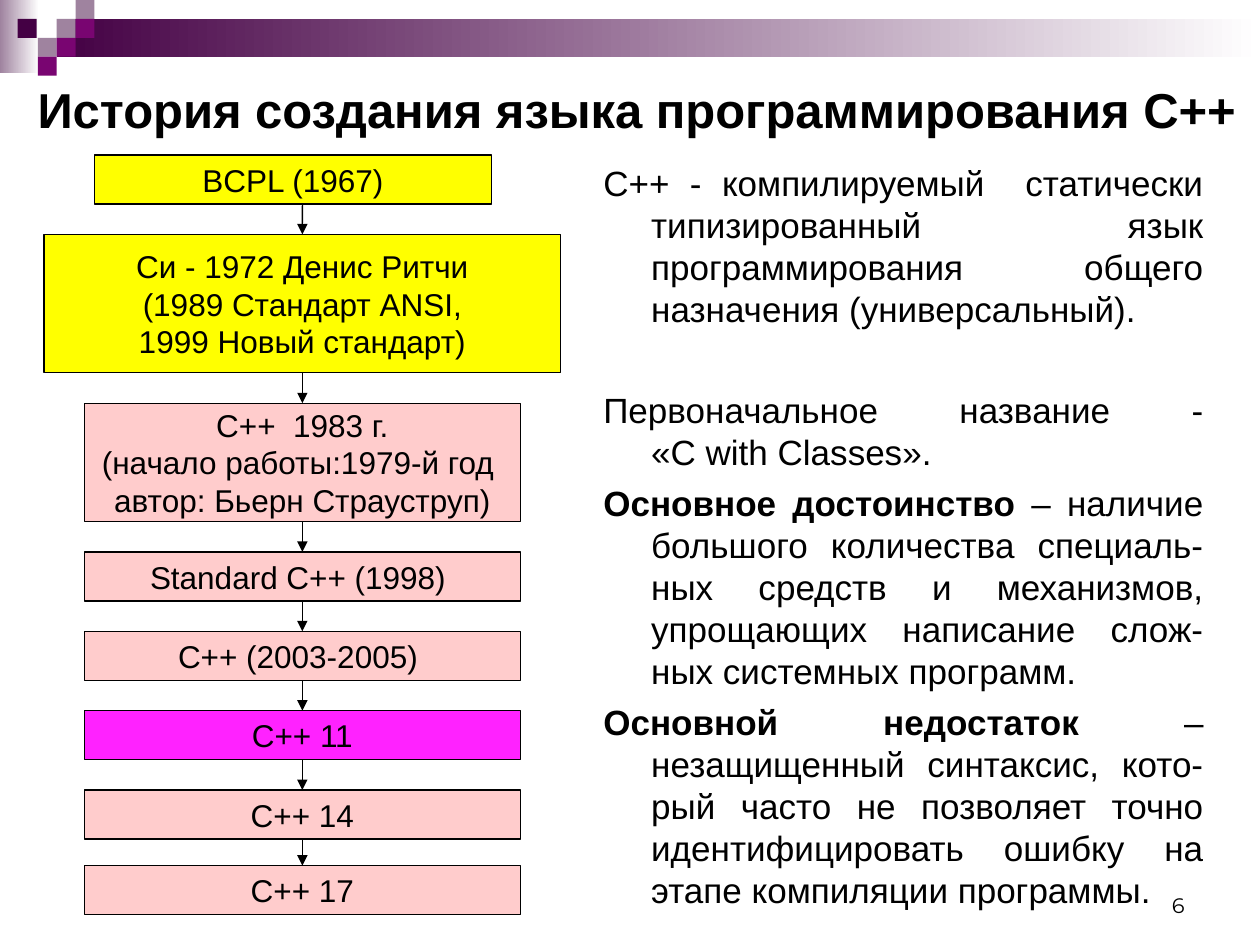
import pptx
import pptx.util
import pptx.dml.color
import pptx.enum.shapes
import pptx.enum.text
import pptx.oxml
import pptx.oxml.ns

Inches, Pt = pptx.util.Inches, pptx.util.Pt
RGBColor = pptx.dml.color.RGBColor
RECTANGLE = pptx.enum.shapes.MSO_SHAPE.RECTANGLE
ALIGN = pptx.enum.text.PP_ALIGN
ANCHOR = pptx.enum.text.MSO_ANCHOR

BLACK = RGBColor(0x00, 0x00, 0x00)
WHITE = RGBColor(0xFF, 0xFF, 0xFF)
MAUVE = RGBColor(0x9F, 0x83, 0x9F)
PLUM = RGBColor(0x79, 0x05, 0x71)
DARK_PLUM = RGBColor(0x44, 0x00, 0x44)
YELLOW = RGBColor(0xFF, 0xFF, 0x00)
PINK = RGBColor(0xFF, 0xCC, 0xCC)
MAGENTA = RGBColor(0xFF, 0x22, 0xFF)

# Content
TITLE = "История создания языка программирования С++"
PAGE_NUMBER = "6"

# (lines, width, height, fill, gap below)
STAGES = [
    (["BCPL (1967)"], 3.15, 0.39, YELLOW, 0.24),
    (["Си - 1972 Денис Ритчи", "(1989 Стандарт ANSI,", "1999 Новый стандарт)"],
     4.1, 1.1, YELLOW, 0.24),
    (["С++  1983 г.", "(начало работы:1979-й год ", "автор: Бьерн Страуструп)"],
     3.46, 0.94, PINK, 0.24),
    (["Standard С++ (1998) "], 3.46, 0.39, PINK, 0.24),
    (["С++ (2003-2005) "], 3.46, 0.39, PINK, 0.24),
    (["С++ 11"], 3.46, 0.39, MAGENTA, 0.24),
    (["C++ 14"], 3.46, 0.39, PINK, 0.21),
    (["C++ 17"], 3.46, 0.39, PINK, 0),
]

# (bold lead, text, points before)
DESCRIPTION = [
    ("", "С++ - компилируемый  статически типизированный язык "
         "программирования общего назначения (универсальный).", 0),
    ("", "Первоначальное название -\v«С with Classes».", 34),
    ("Основное достоинство",
     " – наличие большого количества специаль-ных средств и механизмов, "
     "упрощающих написание слож-ных системных программ.", 5),
    ("Основной недостаток",
     " – незащищенный синтаксис, кото-рый часто не позволяет точно "
     "идентифицировать ошибку на этапе компиляции программы.", 5),
]

# Header squares: (left, top, colour)
SQUARE = 0.15
SQUARES = [
    (0.45, 0.15, MAUVE), (0.6, 0, MAUVE), (0.6, 0.15, PLUM),
    (0.3, 0.3, MAUVE), (0.14, 0.15, DARK_PLUM),
    (0.45, 0.3, PLUM), (0.3, 0.45, PLUM),
]

FLOW_TOP = 1.23
FLOW_CENTER = 2.4
FIRST_STAGE_LEFT = 0.75

deck = pptx.Presentation()
deck.slide_width, deck.slide_height = Inches(10), Inches(7.5)
slide = deck.slides.add_slide(deck.slide_layouts[6])


def write(shape, paragraphs, *, size, font="Arial", bold=False, align=ALIGN.LEFT,
          anchor=ANCHOR.TOP, wrap=True, hanging=0, spacing=None):
    """Fill a shape with paragraphs of (bold lead, text, points before)."""
    frame = shape.text_frame
    frame.word_wrap = wrap
    frame.vertical_anchor = anchor
    for index, (lead, text, before) in enumerate(paragraphs):
        paragraph = frame.add_paragraph() if index else frame.paragraphs[0]
        paragraph.alignment = align
        paragraph.space_before = Pt(before)
        if spacing:
            paragraph.line_spacing = Pt(spacing)
        if hanging:
            properties = paragraph._p.get_or_add_pPr()
            properties.set("marL", str(Inches(hanging)))
            properties.set("indent", str(-Inches(hanging)))
        if lead:
            lead_run = paragraph.add_run()
            lead_run.text = lead
            lead_run.font.bold = True
        for number, line in enumerate(text.split("\v")):
            if number:
                paragraph.add_line_break()
            run = paragraph.add_run()
            run.text = line
            run.font.bold = bold
        for run in paragraph.runs:
            run.font.name = font
            run.font.size = Pt(size)
            run.font.color.rgb = BLACK


def add_text_box(left, top, width, height):
    return slide.shapes.add_textbox(
        Inches(left), Inches(top), Inches(width), Inches(height))


def add_rectangle(left, top, width, height, fill, fade=None, outlined=False):
    rectangle = slide.shapes.add_shape(
        RECTANGLE, Inches(left), Inches(top), Inches(width), Inches(height))
    rectangle.shadow.inherit = False
    if fade is None:
        rectangle.fill.solid()
        rectangle.fill.fore_color.rgb = fill
    else:
        rectangle.fill.gradient()
        rectangle.fill.gradient_angle = 0
        for stop, colour in zip(rectangle.fill.gradient_stops, (fill, fade)):
            stop.color.rgb = colour
    if outlined:
        rectangle.line.color.rgb = BLACK
        rectangle.line.width = Pt(0.75)
    else:
        rectangle.line.fill.background()
    return rectangle


def add_arrow(upper, lower):
    center = Inches(FLOW_CENTER)
    arrow = slide.shapes.add_connector(
        pptx.enum.shapes.MSO_CONNECTOR.STRAIGHT,
        center, upper.top + upper.height, center, lower.top)
    # The first stage sits off the axis, so its arrow starts free
    if upper.left != Inches(FIRST_STAGE_LEFT):
        arrow.begin_connect(upper, 2)
    arrow.end_connect(lower, 0)
    arrow.line.color.rgb = BLACK
    arrow.line.width = Pt(0.75)
    head = pptx.oxml.parse_xml(
        '<a:tailEnd %s type="triangle"/>' % pptx.oxml.ns.nsdecls("a"))
    arrow.line._get_or_add_ln().append(head)
    arrow._element.spPr.append(pptx.oxml.parse_xml(
        "<a:effectLst %s/>" % pptx.oxml.ns.nsdecls("a")))


# Header band
add_rectangle(0, 0, 0.31, 0.58, MAUVE, fade=WHITE)
add_rectangle(0.45, 0.15, 9.55, 0.3, DARK_PLUM, fade=WHITE)
for left, top, colour in SQUARES:
    add_rectangle(left, top, SQUARE, SQUARE, colour)

# Page number, title and description
write(add_text_box(7.17, 6.83, 2.33, 0.5), [("", PAGE_NUMBER, 0)], size=12,
      font="Montserrat", align=ALIGN.RIGHT, anchor=ANCHOR.BOTTOM)
write(add_text_box(0.2, 0.5, 9.8, 0.73), [("", TITLE, 0)], size=28, bold=True,
      anchor=ANCHOR.MIDDLE)
write(add_text_box(4.69, 1.23, 4.96, 5.9), DESCRIPTION, size=20,
      align=ALIGN.JUSTIFY, hanging=0.38, spacing=24)

# Language history, top to bottom
top = FLOW_TOP
previous = None
for lines, width, height, fill, gap in STAGES:
    left = FLOW_CENTER - width / 2 if previous else FIRST_STAGE_LEFT
    stage = add_rectangle(left, top, width, height, fill, outlined=True)
    write(stage, [("", line, 0) for line in lines], size=18, align=ALIGN.CENTER,
          anchor=ANCHOR.MIDDLE, wrap=False,
          spacing=21.6 if len(lines) > 1 else None)
    if previous:
        add_arrow(previous, stage)
    previous = stage
    top += height + gap

deck.save("out.pptx")
